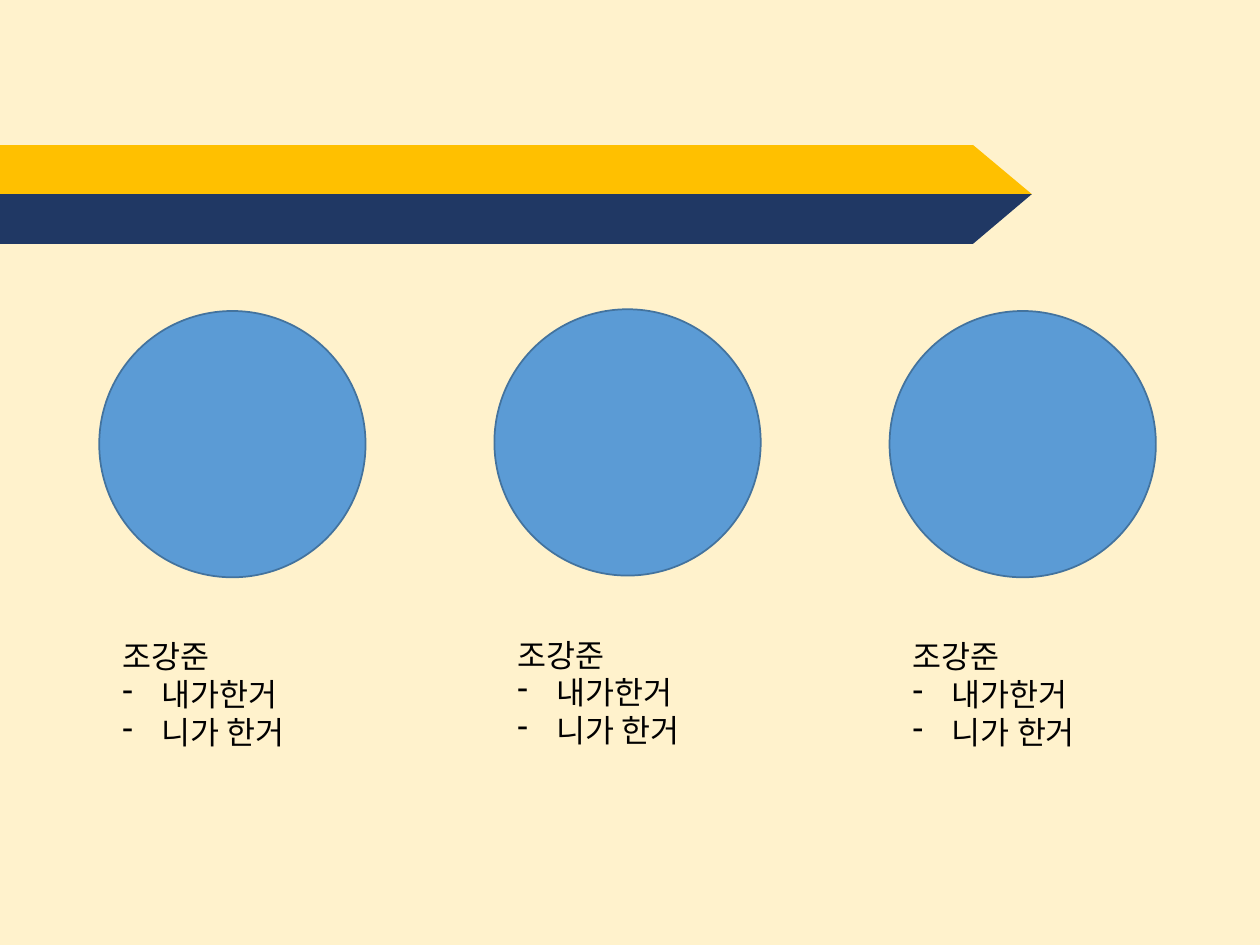
"""Build a slide with a two-tone arrow above three captioned circles."""
from dataclasses import dataclass

from lxml import etree
from pptx import Presentation
from pptx.dml.color import RGBColor
from pptx.enum.shapes import MSO_SHAPE
from pptx.enum.text import MSO_AUTO_SIZE
from pptx.oxml.ns import qn
from pptx.util import Pt

RECTANGLE = MSO_SHAPE.RECTANGLE
OVAL = MSO_SHAPE.OVAL
PROCESS = MSO_SHAPE.FLOWCHART_PROCESS
RIGHT_TRIANGLE = MSO_SHAPE.RIGHT_TRIANGLE
FIT_SHAPE = MSO_AUTO_SIZE.SHAPE_TO_FIT_TEXT


@dataclass(frozen=True)
class Theme:
    background: str = "FFC000"
    panel: str = "FFF2CC"
    gold: str = "FFC000"
    navy: str = "203864"
    circle: str = "5B9BD5"
    circle_line: str = "43739E"
    text: str = "000000"
    font: str = "Calibri"
    text_size: float = 18


@dataclass(frozen=True)
class Box:
    left: float
    top: float
    width: float
    height: float

    def lengths(self) -> tuple:
        return tuple(Pt(value) for value in (self.left, self.top, self.width, self.height))


@dataclass(frozen=True)
class ArrowHalf:
    top: float
    height: float
    color: str
    flipped: bool


@dataclass(frozen=True)
class Member:
    name: str
    tasks: tuple[str, ...]
    rise: float = 0


THEME = Theme()
SLIDE_WIDTH, SLIDE_HEIGHT = 720, 540
ARROW_BODY, ARROW_TIP = 556, 33.7
CIRCLE_LEFT, CIRCLE_TOP, CIRCLE_SIZE = 56.7, 177.7, 152.2
CAPTION_LEFT, CAPTION_TOP, CAPTION_WIDTH, CAPTION_HEIGHT = 62.8, 360.7, 140.4, 72.7
COLUMN_PITCH = 225.8
BULLET_INDENT = 22.5
TASKS = ("내가한거", "니가 한거")
ARROW_HALVES = (
    ArrowHalf(82.8, 28.2, THEME.gold, False),
    ArrowHalf(110.9, 28.5, THEME.navy, True),
)
MEMBERS = (
    Member("조강준", TASKS),
    Member("조강준", TASKS, rise=1),
    Member("조강준", TASKS),
)


def add_figure(shapes, kind, box: Box, fill: str, line: str | None = None, flipped: bool = False) -> None:
    """Draw one filled preset shape, optionally outlined or flipped vertically."""
    shape = shapes.add_shape(kind, *box.lengths())
    shape.shadow.inherit = False
    shape.fill.solid()
    shape.fill.fore_color.rgb = RGBColor.from_string(fill)
    if line:
        shape.line.color.rgb = RGBColor.from_string(line)
        shape.line.width = Pt(1)
    else:
        shape.line.fill.background()
    if flipped:
        shape.element.spPr.find(qn("a:xfrm")).set("flipV", "1")


def add_arrow_half(slide, half: ArrowHalf) -> None:
    """Draw the bar and the tip of one arrow half as a group."""
    shapes = slide.shapes.add_group_shape().shapes
    bar = Box(0, half.top, ARROW_BODY, half.height)
    tip = Box(ARROW_BODY, half.top, ARROW_TIP, half.height)
    for kind, box in ((PROCESS, bar), (RIGHT_TRIANGLE, tip)):
        add_figure(shapes, kind, box, half.color, flipped=half.flipped)


def write_text(paragraph, text: str, *, size: float, color: str, font: str, bullet: str | None = None) -> None:
    """Write one formatted paragraph, with a hanging bullet if one is given."""
    run = paragraph.add_run()
    run.text = text
    run.font.size = Pt(size)
    run.font.name = font
    run.font.color.rgb = RGBColor.from_string(color)
    if bullet:
        properties = paragraph._p.get_or_add_pPr()
        properties.set("marL", str(Pt(BULLET_INDENT)))
        properties.set("indent", str(-Pt(BULLET_INDENT)))
        etree.SubElement(properties, qn("a:buFontTx"))
        etree.SubElement(properties, qn("a:buChar"), char=bullet)


def add_caption(slide, member: Member, box: Box) -> None:
    """Add a name followed by its bulleted tasks."""
    frame = slide.shapes.add_textbox(*box.lengths()).text_frame
    frame.word_wrap = True
    frame.auto_size = FIT_SHAPE
    style = {"size": THEME.text_size, "color": THEME.text, "font": THEME.font}
    write_text(frame.paragraphs[0], member.name, **style)
    for task in member.tasks:
        write_text(frame.add_paragraph(), task, bullet="-", **style)


def add_member(slide, member: Member, column: int) -> None:
    """Draw the circle and caption of one column."""
    offset = column * COLUMN_PITCH
    circle = Box(CIRCLE_LEFT + offset, CIRCLE_TOP - member.rise, CIRCLE_SIZE, CIRCLE_SIZE)
    caption = Box(CAPTION_LEFT + offset, CAPTION_TOP - member.rise, CAPTION_WIDTH, CAPTION_HEIGHT)
    add_figure(slide.shapes, OVAL, circle, THEME.circle, THEME.circle_line)
    add_caption(slide, member, caption)


def main() -> None:
    """Build and save the presentation."""
    presentation = Presentation()
    presentation.slide_width, presentation.slide_height = Pt(SLIDE_WIDTH), Pt(SLIDE_HEIGHT)
    slide = presentation.slides.add_slide(presentation.slide_layouts[6])
    slide.background.fill.solid()
    slide.background.fill.fore_color.rgb = RGBColor.from_string(THEME.background)
    add_figure(slide.shapes, RECTANGLE, Box(0, 0, SLIDE_WIDTH, SLIDE_HEIGHT), THEME.panel)
    for column, member in enumerate(MEMBERS):
        add_member(slide, member, column)
    for half in ARROW_HALVES:
        add_arrow_half(slide, half)
    presentation.save("out.pptx")


if __name__ == "__main__":
    main()
